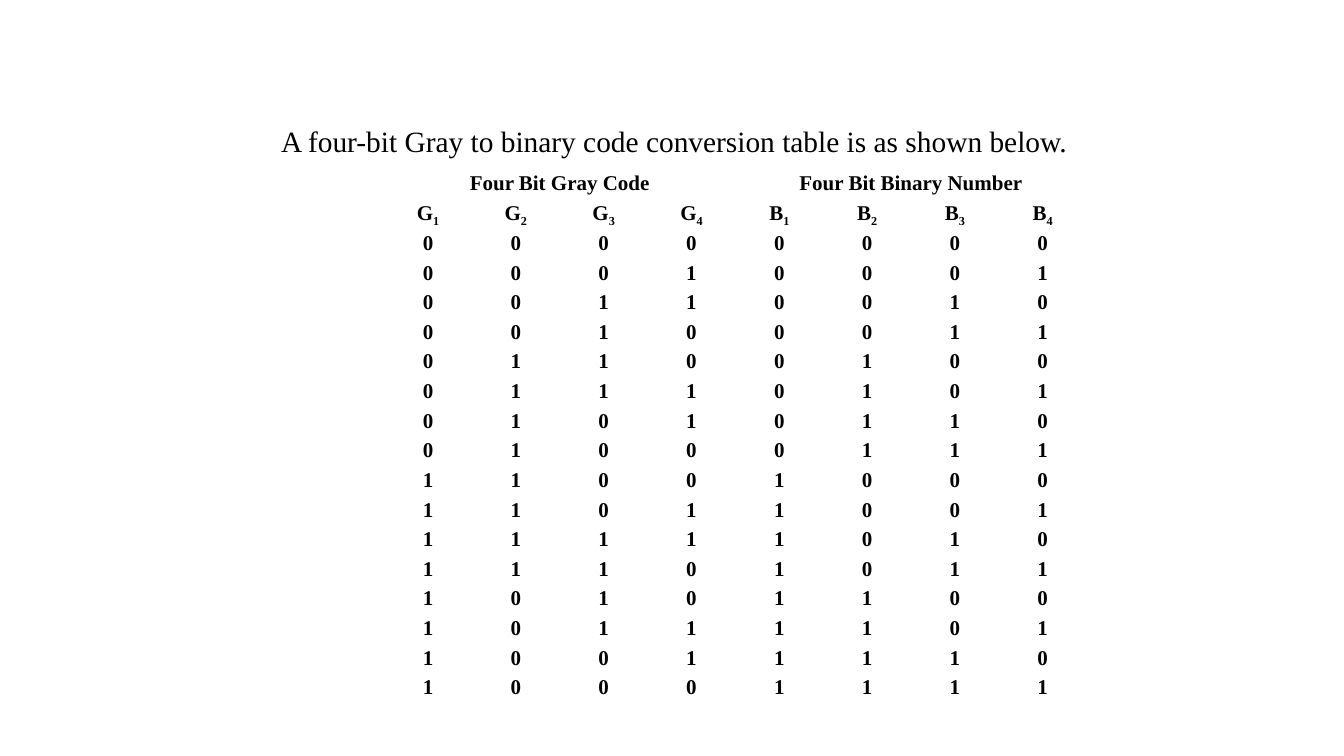
from dataclasses import dataclass

from lxml import etree
from pptx import Presentation
from pptx.dml.color import RGBColor
from pptx.enum.text import MSO_AUTO_SIZE, PP_ALIGN
from pptx.oxml.ns import qn
from pptx.util import Inches, Pt

CENTER, JUSTIFY = PP_ALIGN.CENTER, PP_ALIGN.JUSTIFY
FIT_SHAPE = MSO_AUTO_SIZE.SHAPE_TO_FIT_TEXT


@dataclass(frozen=True)
class Theme:
    font: str = "Times New Roman"
    ink: str = "000000"
    paper: str = "FFFFFF"
    intro_size: float = 21
    table_size: float = 15
    line_spacing: float = 1.15
    thin: float = 1
    thick: float = 3


@dataclass(frozen=True)
class Grid:
    left: float = 3.81
    top: float = 1.67
    width: float = 6.97
    height: float = 5.29
    cell_inset: float = 0.06


@dataclass(frozen=True)
class CodeGroup:
    heading: str
    letter: str
    values: list[int]


BITS = 4
NUMBERS = list(range(2 ** BITS))
GROUPS = [
    CodeGroup("Four Bit Gray Code", "G", [n ^ (n >> 1) for n in NUMBERS]),
    CodeGroup("Four Bit Binary Number", "B", NUMBERS),
]
HEADER_ROWS = 2
THEME = Theme()
GRID = Grid()


def style_span(span, size: float, bold: bool = False) -> None:
    span.font.name = THEME.font
    span.font.size = Pt(size)
    span.font.bold = bold
    span.font.color.rgb = RGBColor.from_string(THEME.ink)


def add_borders(cell, bottom: float) -> None:
    """Borders come before the fill in the cell properties."""
    properties = cell._tc.get_or_add_tcPr()
    widths = {"lnL": THEME.thin, "lnR": THEME.thin, "lnT": THEME.thin, "lnB": bottom}
    for position, (side, width) in enumerate(widths.items()):
        line = etree.Element(qn(f"a:{side}"), w=str(Pt(width)))
        fill = etree.SubElement(line, qn("a:solidFill"))
        etree.SubElement(fill, qn("a:srgbClr"), val=THEME.paper)
        properties.insert(position, line)


def style_cell(cell, bottom: float) -> None:
    cell.fill.solid()
    cell.fill.fore_color.rgb = RGBColor.from_string(THEME.paper)
    cell.margin_left = cell.margin_right = Inches(GRID.cell_inset)
    cell.margin_top = cell.margin_bottom = 0
    add_borders(cell, bottom)


def write_cell(cell, text: str, subscript: str = "") -> None:
    para = cell.text_frame.paragraphs[0]
    para.text = text
    para.alignment = CENTER
    para.line_spacing = THEME.line_spacing
    if subscript:
        span = para.add_run()
        span.text = subscript
        span._r.get_or_add_rPr().set("baseline", "-25000")
    for span in para.runs:
        style_span(span, THEME.table_size, bold=True)


def add_code_table(page) -> None:
    rows, columns = HEADER_ROWS + len(NUMBERS), BITS * len(GROUPS)
    frame = page.shapes.add_table(rows, columns, Inches(GRID.left), Inches(GRID.top),
                                  Inches(GRID.width), Inches(GRID.height))
    table = frame.table
    table.first_row = table.horz_banding = False
    for row in range(rows):
        for column in range(columns):
            style_cell(table.cell(row, column), THEME.thin if row else THEME.thick)

    for index, group in enumerate(GROUPS):
        first = index * BITS
        # Heading across the group's columns
        table.cell(0, first).merge(table.cell(0, first + BITS - 1))
        write_cell(table.cell(0, first), group.heading)
        for bit in range(BITS):
            write_cell(table.cell(1, first + bit), group.letter, str(bit + 1))
        # Bits, most significant first
        for row, value in enumerate(group.values, HEADER_ROWS):
            for bit, digit in enumerate(f"{value:0{BITS}b}"):
                write_cell(table.cell(row, first + bit), digit)


def add_intro(page, text: str) -> None:
    box = page.shapes.add_textbox(Inches(2.31), Inches(1.12), Inches(8.71), Inches(0.48))
    box.text_frame.word_wrap = True
    box.text_frame.auto_size = FIT_SHAPE
    para = box.text_frame.paragraphs[0]
    para.text = text
    para.alignment = JUSTIFY
    para.line_spacing = THEME.line_spacing
    para._p.get_or_add_pPr().set("indent", str(Inches(0.38)))
    style_span(para.runs[0], THEME.intro_size)


deck = Presentation()
deck.slide_width, deck.slide_height = Inches(13.33), Inches(7.5)
page = deck.slides.add_slide(deck.slide_layouts[6])
add_code_table(page)
add_intro(page, "A four-bit Gray to binary code conversion table is as shown below.")
deck.save("out.pptx")
